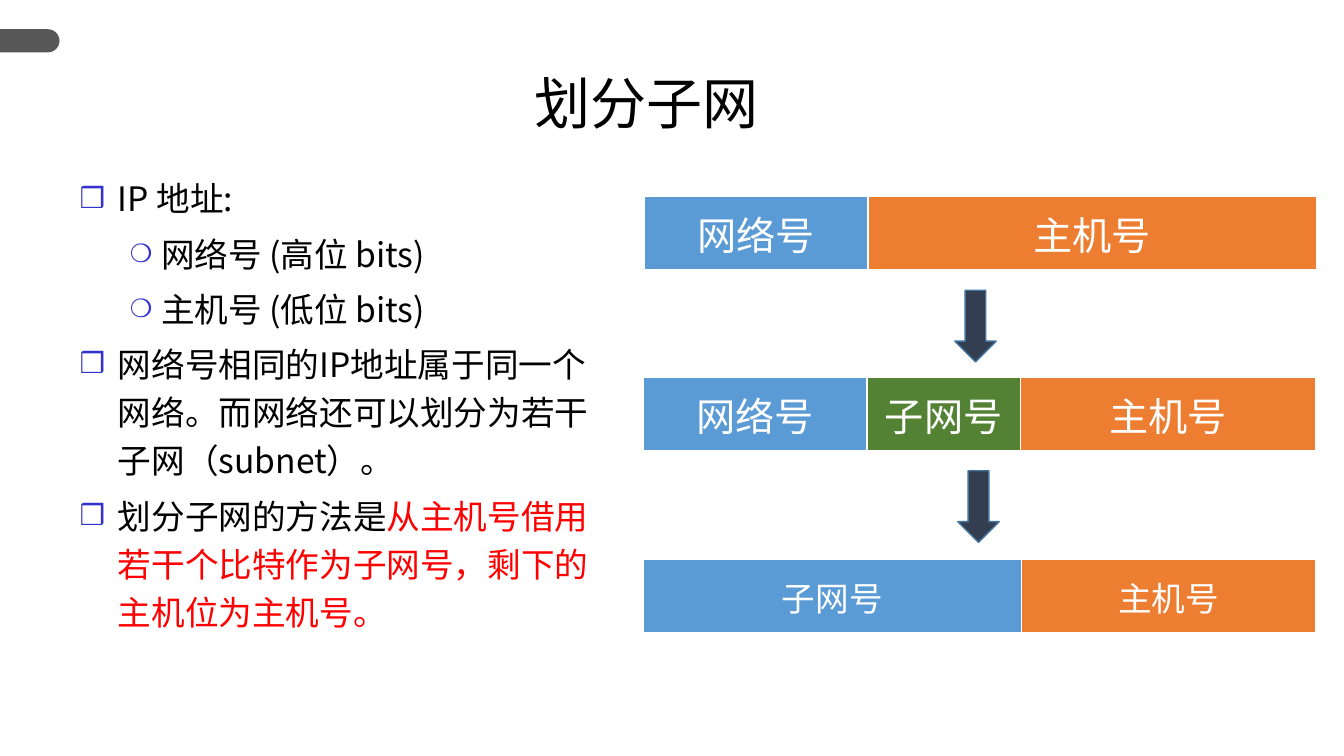
from pptx import Presentation
from pptx.util import Inches, Pt
from pptx.dml.color import RGBColor
from pptx.enum.shapes import MSO_SHAPE
from pptx.enum.text import PP_ALIGN, MSO_ANCHOR
from pptx.oxml.ns import qn
from lxml.etree import SubElement

COLORS = {"tab": "575757", "text": "000000", "accent": "FF0000", "bullet": "3333CC",
          "network": "5B9BD5", "subnet": "548235", "host": "ED7D31",
          "white": "FFFFFF", "arrow": "333F50", "arrow_line": "43739E"}
BODY_FONT = "Noto Sans CJK SC"


def rgb(name):
    return RGBColor.from_string(COLORS[name])


def add_bullet(paragraph, char, size, left, hanging):
    props = paragraph._p.get_or_add_pPr()
    props.set("marL", str(Inches(left)))
    props.set("indent", str(-Inches(hanging)))
    color = SubElement(props, qn("a:buClr"))
    SubElement(color, qn("a:srgbClr"), val=COLORS["bullet"])
    SubElement(props, qn("a:buSzPct"), val=str(size * 1000))
    SubElement(props, qn("a:buFont"), typeface="Arial")
    SubElement(props, qn("a:buChar"), char=char)


prs = Presentation()
prs.slide_width, prs.slide_height = Inches(13.33), Inches(7.5)
slide = prs.slides.add_slide(prs.slide_layouts[5])

# Grey tab at the left edge, rounded on its right side
edge_tab = slide.shapes.add_shape(MSO_SHAPE.ROUND_2_SAME_RECTANGLE,
                                  Inches(0.18), Inches(0.11), Inches(0.23), Inches(0.59))
edge_tab.rotation = 90
edge_tab.adjustments[0] = 0.5
edge_tab.shadow.inherit = False
edge_tab.fill.solid()
edge_tab.fill.fore_color.rgb = rgb("tab")
edge_tab.line.fill.background()

# Title
title = slide.shapes.title
title.left, title.top, title.width, title.height = (
    Inches(2.19), Inches(0.71), Inches(8.45), Inches(1.25))
title.text_frame.text = "划分子网"
title.text_frame.vertical_anchor = MSO_ANCHOR.TOP
heading = title.text_frame.paragraphs[0]
heading.alignment = PP_ALIGN.CENTER
heading.line_spacing = 0.9
heading.font.size = Pt(40)
heading.font.name = "Arial"
heading.font.color.rgb = rgb("text")

# Bulleted explanation: level and coloured runs
points = [
    (0, [("IP 地址:", "text")]),
    (1, [("网络号 (高位 bits)", "text")]),
    (1, [("主机号 (低位 bits)", "text")]),
    (0, [("网络号相同的IP地址属于同一个网络。而网络还可以划分为若干子网（subnet）。", "text")]),
    (0, [("划分子网的方法是", "text"),
         ("从主机号借用若干个比特作为子网号，剩下的主机位为主机号。", "accent")]),
]
bullets = [("❒", 85, 0.38, 0.38), ("❍", 75, 0.81, 0.31)]
explanation = slide.shapes.add_textbox(
    Inches(0.69), Inches(1.64), Inches(5.39), Inches(5.1)).text_frame
explanation.word_wrap = True
for index, (level, parts) in enumerate(points):
    point = explanation.add_paragraph() if index else explanation.paragraphs[0]
    add_bullet(point, *bullets[level])
    point.level = level
    point.line_spacing = 1.2
    point.space_before = Pt(4.8 if index else 0)
    for words, color in parts:
        run = point.add_run()
        run.text = words
        run.font.size = Pt(24)
        run.font.name = BODY_FONT
        run.font.color.rgb = rgb(color)
        SubElement(run._r.get_or_add_rPr(), qn("a:ea"), typeface=BODY_FONT)

# Address layouts: left, top, text size, fields with their widths
network, subnet, host = "网络号", "子网号", "主机号"
addresses = [
    (6.39, 1.95, 28, [(network, 2.22, "network"), (host, 4.45, "host")]),
    (6.38, 3.74, 28, [(network, 2.22, "network"), (subnet, 1.52, "subnet"), (host, 2.93, "host")]),
    (6.38, 5.55, 24, [(subnet, 3.75, "network"), (host, 2.92, "host")]),
]
for left, top, size, fields in addresses:
    address = slide.shapes.add_table(1, len(fields), Inches(left), Inches(top),
                                     Inches(6.67), Inches(0.74)).table
    for column, (label, width, color) in enumerate(fields):
        address.columns[column].width = Inches(width)
        cell = address.cell(0, column)
        cell.text_frame.text = label
        cell.vertical_anchor = MSO_ANCHOR.MIDDLE
        field = cell.text_frame.paragraphs[0]
        field.alignment = PP_ALIGN.CENTER
        field.font.size = Pt(size)
        field.font.bold = False
        field.font.name = "Arial"
        field.font.color.rgb = rgb("white")
        # White borders, thicker below; they come before the fill
        for side, points_wide in (("lnL", 1), ("lnR", 1), ("lnT", 1), ("lnB", 3)):
            border = SubElement(cell._tc.get_or_add_tcPr(), qn("a:" + side),
                                w=str(Pt(points_wide)))
            SubElement(SubElement(border, qn("a:solidFill")), qn("a:srgbClr"),
                       val=COLORS["white"])
        cell.fill.solid()
        cell.fill.fore_color.rgb = rgb(color)

# Arrows between the layouts
for left, top in ((9.47, 2.88), (9.5, 4.67)):
    arrow = slide.shapes.add_shape(MSO_SHAPE.DOWN_ARROW, Inches(left), Inches(top),
                                   Inches(0.41), Inches(0.71))
    arrow.shadow.inherit = False
    arrow.fill.solid()
    arrow.fill.fore_color.rgb = rgb("arrow")
    arrow.line.color.rgb = rgb("arrow_line")
    arrow.line.width = Pt(1)

prs.save("out.pptx")
